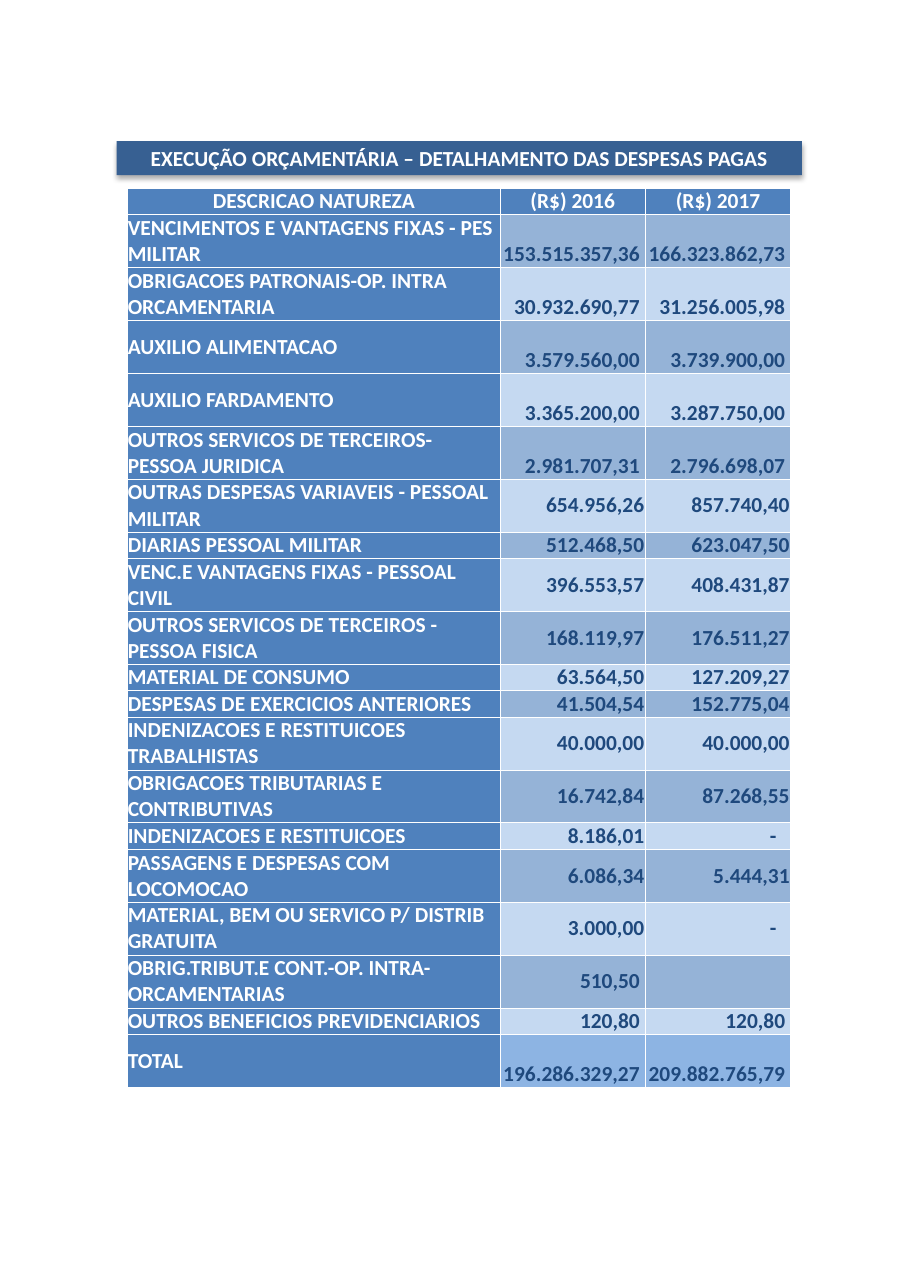
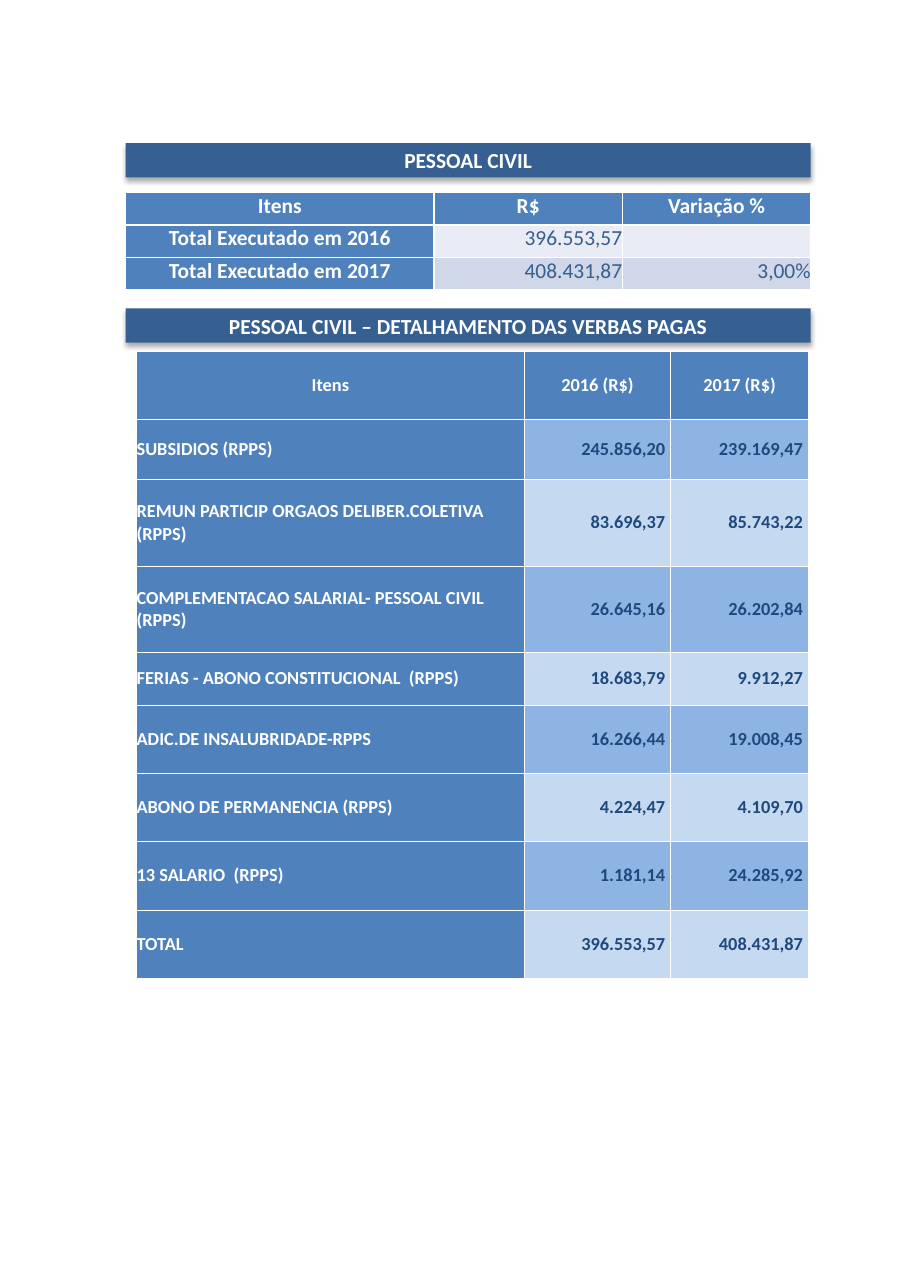
from dataclasses import dataclass

from lxml.etree import SubElement as Sub
from pptx import Presentation
from pptx.dml.color import RGBColor
from pptx.enum.shapes import MSO_SHAPE as Kind
from pptx.enum.text import MSO_ANCHOR as Anchor, PP_ALIGN as Align
from pptx.oxml.ns import qn
from pptx.util import Inches, Pt

FONT = "Calibri"
WHITE, NAVY, STEEL = "FFFFFF", "1F497D", "365F91"
BAR, HEAD, HEAD2 = "376092", "4F81BD", "4F81BC"
DARK, MID, LIGHT = "95B3D7", "8DB4E3", "C5D9F1"
PALE, GREY = "E9ECF4", "D0D7E8"
BAR_W, BAR_H = 6.22, 0.31
ONE, TWO = 0.24, 0.48  # heights of rows with one and two lines
EDGE, GAP, DASH = 0.01, 0.05, 0.13  # right insets of the values


@dataclass
class Row:
    cells: tuple[str, str, str]
    high: float
    fill: str
    pad: float = GAP
    anchor: Anchor = Anchor.MIDDLE


@dataclass
class Grid:
    left: float
    top: float
    cols: tuple[float, ...]
    rows: list[Row]
    size: int = 14
    head: str = HEAD
    ink: str = NAVY
    bold: bool = True
    label: Align = Align.LEFT
    line: float = 0.5
    rule: float = 0.5  # line under the first row


def tint(code: str) -> RGBColor:
    return RGBColor.from_string(code)


def write(par, text: str, size: int, ink: str, align: Align, bold: bool = True) -> None:
    par.alignment = align
    if not text:
        Sub(par._p, qn("a:endParaRPr"), sz=str(size * 100))
        return
    run = par.add_run()
    run.text = text
    look = {"name": FONT, "size": Pt(size), "bold": bold}
    for key, val in look.items():
        setattr(run.font, key, val)
    run.font.color.rgb = tint(ink)


def colour(node, code: str):
    return Sub(node, qn("a:srgbClr"), val=code)


def shade(shape) -> None:
    """Give the shape a soft shadow straight below it."""
    shape.shadow.inherit = False
    effects = shape._element.spPr.find(qn("a:effectLst"))
    drop = Sub(effects, qn("a:outerShdw"), blurRad=str(Pt(3.5)), dist=str(Pt(2.2)),
               dir="5400000", rotWithShape="0")
    Sub(colour(drop, "000000"), qn("a:alpha"), val="32000")


def add_bar(slide, left: float, top: float, text: str) -> None:
    bar = slide.shapes.add_shape(Kind.RECTANGLE, Inches(left), Inches(top),
                                 Inches(BAR_W), Inches(BAR_H))
    bar.fill.solid()
    bar.fill.fore_color.rgb = tint(BAR)
    bar.line.fill.background()
    shade(bar)
    frame = bar.text_frame
    frame.word_wrap = True
    frame.vertical_anchor = Anchor.MIDDLE
    write(frame.paragraphs[0], text, 14, WHITE, Align.CENTER)


def edge(cell, widths: dict[str, float]) -> None:
    """Draw white borders; must run before the cell is filled."""
    props = cell._tc.get_or_add_tcPr()
    for side, width in widths.items():
        line = Sub(props, qn(f"a:ln{side}"), w=str(Pt(width)))
        colour(Sub(line, qn("a:solidFill")), WHITE)


def add_grid(slide, grid: Grid) -> None:
    high = sum(row.high for row in grid.rows)
    table = slide.shapes.add_table(
        len(grid.rows), len(grid.cols), Inches(grid.left), Inches(grid.top),
        Inches(sum(grid.cols)), Inches(high)).table
    table.first_row = table.horz_banding = False
    for col, width in zip(table.columns, grid.cols):
        col.width = Inches(width)
    for i, row in enumerate(grid.rows):
        table.rows[i].height = Inches(row.high)
        for j, text in enumerate(row.cells):
            cell = table.cell(i, j)
            edge(cell, {"L": grid.line, "R": grid.line,
                        "T": grid.rule if i == 1 else grid.line,
                        "B": grid.rule if i == 0 else grid.line})
            value = i > 0 and j > 0
            pad = DASH if text == "-" else row.pad
            look = {"margin_left": 0, "margin_top": 0, "margin_bottom": 0,
                    "margin_right": Inches(pad if value else 0),
                    "vertical_anchor": row.anchor if value or row.anchor == Anchor.TOP
                    else Anchor.MIDDLE}
            for key, val in look.items():
                setattr(cell, key, val)
            cell.fill.solid()
            cell.fill.fore_color.rgb = tint(row.fill if value else grid.head)
            align = Align.RIGHT if value else Align.CENTER if i == 0 else grid.label
            write(cell.text_frame.paragraphs[0], text, grid.size,
                  grid.ink if value else WHITE, align, grid.bold or not value)


def band(i: int, odd: str) -> str:
    return LIGHT if i % 2 else odd


COSTS = [
    ("VENCIMENTOS E VANTAGENS FIXAS - PES MILITAR", "153.515.357,36", "166.323.862,73"),
    ("OBRIGACOES PATRONAIS-OP. INTRA ORCAMENTARIA", "30.932.690,77", "31.256.005,98"),
    ("AUXILIO ALIMENTACAO", "3.579.560,00", "3.739.900,00"),
    ("AUXILIO FARDAMENTO", "3.365.200,00", "3.287.750,00"),
    ("OUTROS SERVICOS DE TERCEIROS-PESSOA JURIDICA", "2.981.707,31", "2.796.698,07"),
    ("OUTRAS DESPESAS VARIAVEIS - PESSOAL MILITAR", "654.956,26", "857.740,40"),
    ("DIARIAS PESSOAL MILITAR", "512.468,50", "623.047,50"),
    ("VENC.E VANTAGENS FIXAS - PESSOAL CIVIL", "396.553,57", "408.431,87"),
    ("OUTROS SERVICOS DE TERCEIROS - PESSOA FISICA", "168.119,97", "176.511,27"),
    ("MATERIAL DE CONSUMO", "63.564,50", "127.209,27"),
    ("DESPESAS DE EXERCICIOS ANTERIORES", "41.504,54", "152.775,04"),
    ("INDENIZACOES E RESTITUICOES TRABALHISTAS", "40.000,00", "40.000,00"),
    ("OBRIGACOES TRIBUTARIAS E CONTRIBUTIVAS", "16.742,84", "87.268,55"),
    ("INDENIZACOES E RESTITUICOES", "8.186,01", "-"),
    ("PASSAGENS E DESPESAS COM LOCOMOCAO", "6.086,34", "5.444,31"),
    ("MATERIAL, BEM OU SERVICO P/ DISTRIB GRATUITA", "3.000,00", "-"),
    ("OBRIG.TRIBUT.E CONT.-OP. INTRA-ORCAMENTARIAS", "510,50", ""),
    ("OUTROS BENEFICIOS PREVIDENCIARIOS", "120,80", "120,80"),
]
SHORT = {6, 9, 10, 13, 17}  # costs whose label takes one line
LARGE, SMALL = 5, 16  # low values start and stop here

PAY = [
    (("SUBSIDIOS (RPPS)", "245.856,20", "239.169,47"), 0.54),
    (("REMUN PARTICIP ORGAOS DELIBER.COLETIVA (RPPS)", "83.696,37", "85.743,22"), 0.79),
    (("COMPLEMENTACAO SALARIAL- PESSOAL CIVIL (RPPS)", "26.645,16", "26.202,84"), 0.78),
    (("FERIAS - ABONO CONSTITUCIONAL  (RPPS)", "18.683,79", "9.912,27"), 0.48),
    (("ADIC.DE INSALUBRIDADE-RPPS", "16.266,44", "19.008,45"), 0.62),
    (("ABONO DE PERMANENCIA (RPPS)", "4.224,47", "4.109,70"), 0.62),
    (("13 SALARIO  (RPPS)", "1.181,14", "24.285,92"), 0.62),
    (("TOTAL", "396.553,57", "408.431,87"), 0.62),
]


def cost_grid() -> Grid:
    rows = [Row(("DESCRICAO NATUREZA", "(R$) 2016", "(R$) 2017"), ONE, HEAD)]
    for i, cells in enumerate(COSTS):
        rows.append(Row(cells, ONE if i in SHORT else TWO, band(i, DARK),
                        EDGE if LARGE <= i < SMALL else GAP,
                        Anchor.BOTTOM if i < LARGE else Anchor.MIDDLE))
    rows.append(Row(("TOTAL", "196.286.329,27", "209.882.765,79"), TWO, MID,
                    anchor=Anchor.BOTTOM))
    return Grid(1.16, 1.71, (3.38, 1.32, 1.32), rows)


def sum_grid() -> Grid:
    data = [(("Itens", "R$", "Variação %"), 0.29, HEAD2),
            (("Total Executado em 2016", "396.553,57", ""), 0.3, PALE),
            (("Total Executado em 2017", "408.431,87", "3,00%"), 0.29, GREY)]
    rows = [Row(*item, pad=0, anchor=Anchor.TOP) for item in data]
    return Grid(1.14, 1.75, (2.8, 1.71, 1.71), rows, head=HEAD2, ink=STEEL,
                bold=False, label=Align.CENTER, line=1, rule=1.5)


def pay_grid() -> Grid:
    rows = [Row(("Itens", "2016 (R$)", "2017 (R$)"), 0.62, HEAD)]
    rows += [Row(cells, high, band(i, MID)) for i, (cells, high) in enumerate(PAY)]
    return Grid(1.24, 3.19, (3.52, 1.33, 1.25), rows, size=12)


def main() -> None:
    deck = Presentation()
    deck.slide_width, deck.slide_height = Inches(8.27), Inches(11.69)
    blank = deck.slide_layouts[6]

    costs = deck.slides.add_slide(blank)
    add_bar(costs, 1.06, 1.28, "EXECUÇÃO ORÇAMENTÁRIA – DETALHAMENTO DAS DESPESAS PAGAS")
    add_grid(costs, cost_grid())

    civil = deck.slides.add_slide(blank)
    add_bar(civil, 1.14, 1.3, "PESSOAL CIVIL")
    add_bar(civil, 1.14, 2.8, "PESSOAL CIVIL – DETALHAMENTO DAS VERBAS PAGAS")
    add_grid(civil, sum_grid())
    add_grid(civil, pay_grid())

    deck.save("out.pptx")


if __name__ == "__main__":
    main()
